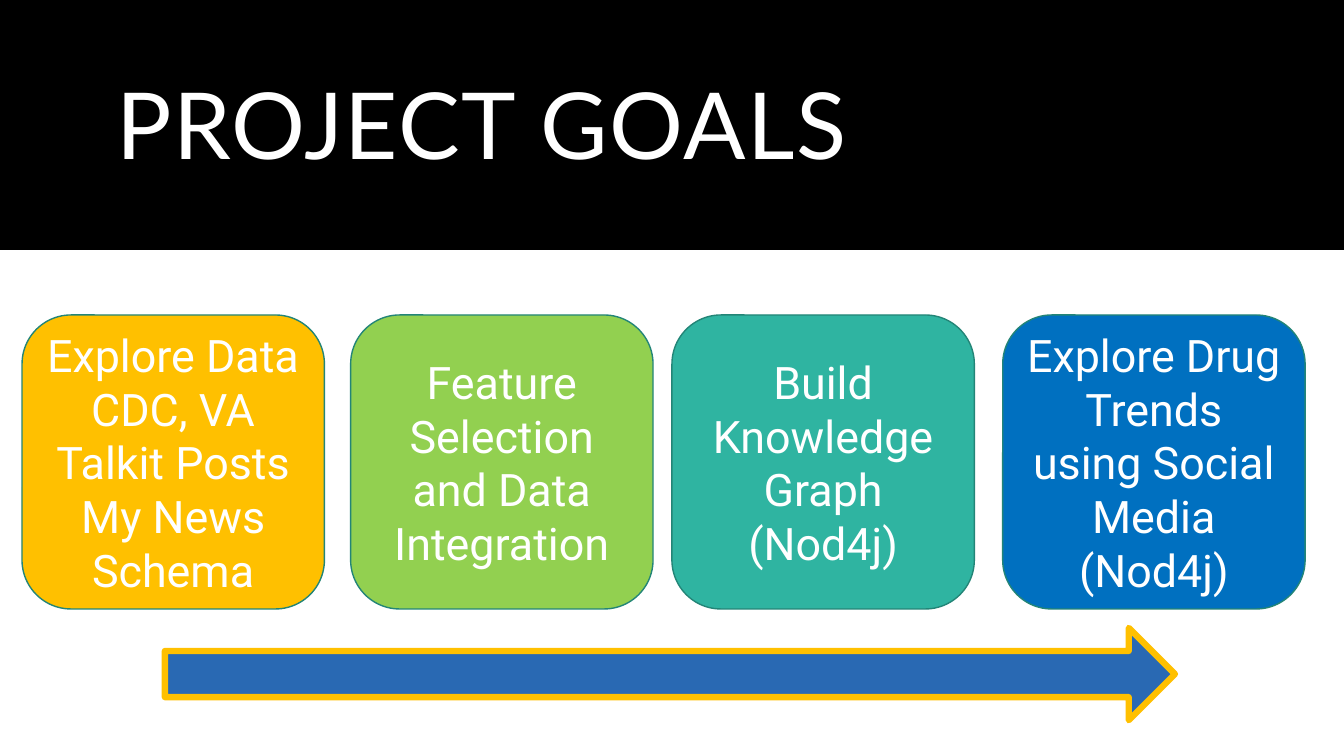
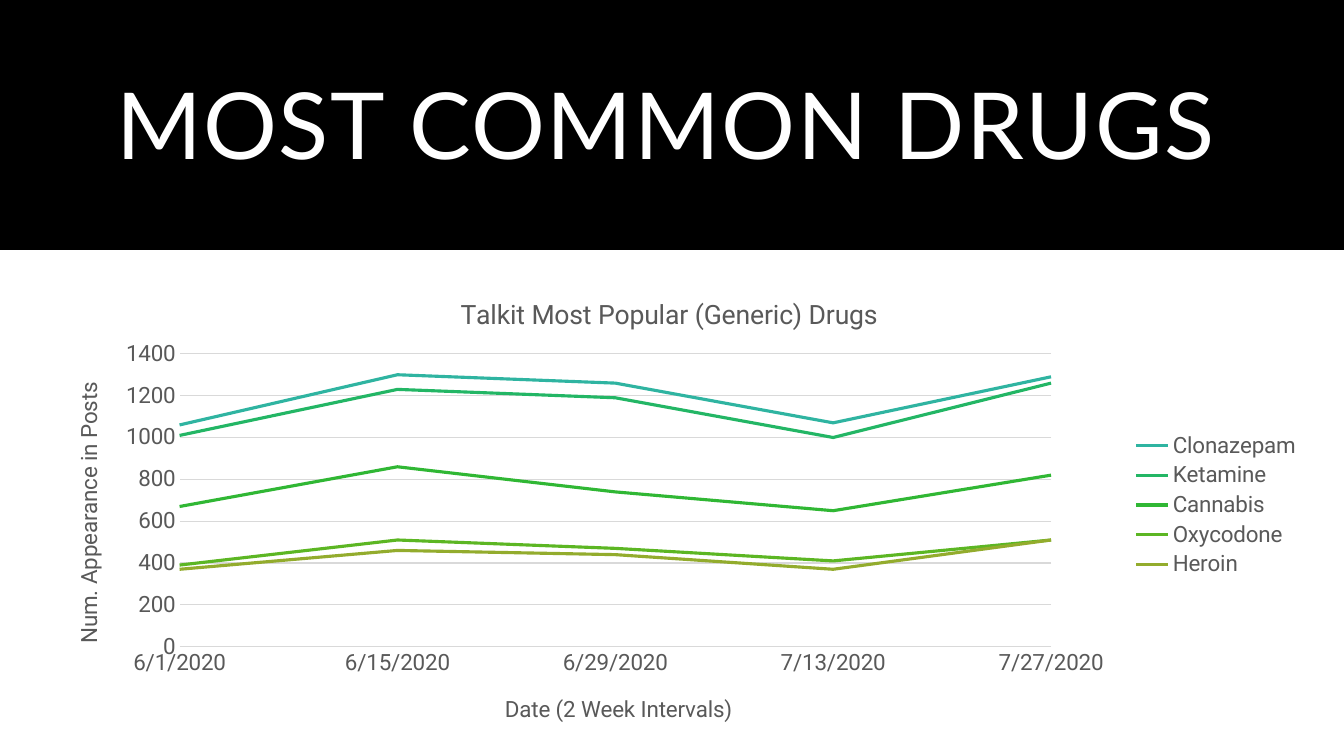
from dataclasses import dataclass
from typing import Any, NamedTuple

import pptx
import pptx.chart.data
import pptx.dml.color
import pptx.enum.chart
import pptx.enum.shapes
import pptx.enum.text
import pptx.oxml
import pptx.oxml.ns
import pptx.util
from pptx.oxml.ns import qn

EMU_PER_PX = 9525
TITLE_ONLY = 5


@dataclass(frozen=True)
class Theme:
    heading_font: str = "Lato"
    body_font: str = "Roboto"
    title_size: int = 66
    goal_size: int = 32
    chart_title_size: int = 19
    chart_size: int = 16
    title_spacing: int = 120
    black: str = "000000"
    white: str = "FFFFFF"
    amber: str = "FFC000"
    lime: str = "92D050"
    teal: str = "2FB4A1"
    teal_edge: str = "238577"
    blue: str = "0070C0"
    arrow_blue: str = "2969B3"
    grey_text: str = "595959"
    grey_line: str = "D9D9D9"


THEME = Theme()


class Rect(NamedTuple):
    left: int
    top: int
    width: int
    height: int

    def emu(self) -> list[int]:
        return [pptx.util.Emu(length * EMU_PER_PX) for length in self]


class Goal(NamedTuple):
    left: int
    fill: str
    lines: list[str]


class Drug(NamedTuple):
    name: str
    color: str
    posts: list[int]


BAND = Rect(0, 0, 1280, 238)
TITLE = Rect(101, 34, 1078, 179)
ARROW = Rect(157, 598, 962, 88)
CHART = Rect(42, 257, 1207, 448)
PLOT = Rect(171, 337, 830, 279)
GOAL_TOP, GOAL_WIDTH, GOAL_HEIGHT = 300, 288, 280

GOALS = [
    Goal(21, THEME.amber,
         ["Explore Data", "CDC, VA", "Talkit Posts", "My News", "Schema"]),
    Goal(334, THEME.lime, ["Feature Selection and Data Integration"]),
    Goal(640, THEME.teal, ["Build Knowledge Graph", "(Nod4j)"]),
    Goal(955, THEME.blue, ["Explore Drug Trends using Social Media (Nod4j)"]),
]

DATES = ["6/1/2020", "6/15/2020", "6/29/2020", "7/13/2020", "7/27/2020"]
DRUGS = [
    Drug("Clonazepam", THEME.teal, [1060, 1300, 1260, 1070, 1290]),
    Drug("Ketamine", "23B665", [1010, 1230, 1190, 1000, 1260]),
    Drug("Cannabis", "30B734", [670, 860, 740, 650, 820]),
    Drug("Oxycodone", "5CB623", [390, 510, 470, 410, 510]),
    Drug("Heroin", "93AC2D", [370, 460, 440, 370, 510]),
]


def rgb(color: str) -> pptx.dml.color.RGBColor:
    return pptx.dml.color.RGBColor.from_string(color)


def set_font(font: Any, name: str, size: int, color: str) -> None:
    font.name = name
    font.size = pptx.util.Pt(size)
    font.bold = False
    font.color.rgb = rgb(color)


def set_line(line: Any, color: str, width: float) -> None:
    line.color.rgb = rgb(color)
    line.width = pptx.util.Pt(width)


def add_filled_shape(page: Any, kind: Any, rect: Rect, fill: str) -> Any:
    shape = page.shapes.add_shape(kind, *rect.emu())
    shape.shadow.inherit = False
    shape.fill.solid()
    shape.fill.fore_color.rgb = rgb(fill)
    return shape


def add_page(deck: Any, title_text: str) -> Any:
    """Add a slide with its title over the black band."""
    page = deck.slides.add_slide(deck.slide_layouts[TITLE_ONLY])
    band = add_filled_shape(page, pptx.enum.shapes.MSO_SHAPE.RECTANGLE,
                            BAND, THEME.black)
    band.line.fill.background()
    page.shapes.element.insert(2, band.element)

    title = page.shapes.title
    title.left, title.top, title.width, title.height = TITLE.emu()
    frame = title.text_frame
    frame.text = title_text
    frame.word_wrap = True
    frame.auto_size = pptx.enum.text.MSO_AUTO_SIZE.NONE
    frame.vertical_anchor = pptx.enum.text.MSO_ANCHOR.MIDDLE
    para = frame.paragraphs[0]
    para.alignment = pptx.enum.text.PP_ALIGN.LEFT
    para.line_spacing = 0.9
    set_font(para.font, THEME.heading_font, THEME.title_size, THEME.white)
    for properties in title.element.iter(qn("a:defRPr")):
        properties.set("spc", str(THEME.title_spacing))
    return page


def add_goal(page: Any, goal: Goal) -> None:
    rect = Rect(goal.left, GOAL_TOP, GOAL_WIDTH, GOAL_HEIGHT)
    box = add_filled_shape(page, pptx.enum.shapes.MSO_SHAPE.ROUNDED_RECTANGLE,
                           rect, goal.fill)
    set_line(box.line, THEME.teal_edge, 1)
    frame = box.text_frame
    frame.word_wrap = True
    frame.vertical_anchor = pptx.enum.text.MSO_ANCHOR.MIDDLE
    frame.text = "\n".join(goal.lines)
    for para in frame.paragraphs:
        para.alignment = pptx.enum.text.PP_ALIGN.CENTER
        set_font(para.font, THEME.body_font, THEME.goal_size, THEME.white)


def place_in_chart(element: Any, left: int, top: int,
                   width: int = 0, height: int = 0) -> None:
    """Fix a chart part at a slide position; a size marks the inner plot."""
    for old_layout in element.findall(qn("c:layout")):
        element.remove(old_layout)
    settings = {"xMode": "edge", "yMode": "edge",
                "x": round((left - CHART.left) / CHART.width, 4),
                "y": round((top - CHART.top) / CHART.height, 4)}
    if width:
        settings = {"layoutTarget": "inner", **settings,
                    "w": round(width / CHART.width, 4),
                    "h": round(height / CHART.height, 4)}
    parts = "".join(f'<c:{tag} val="{value}"/>' for tag, value in settings.items())
    layout = pptx.oxml.parse_xml(
        f'<c:layout {pptx.oxml.ns.nsdecls("c")}>'
        f"<c:manualLayout>{parts}</c:manualLayout></c:layout>")
    element.insert(0 if element.find(qn("c:tx")) is None else 1, layout)


def set_chart_title(title: Any, text: str, size: int, left: int, top: int) -> None:
    title.text_frame.text = text
    set_font(title.text_frame.paragraphs[0].font, THEME.body_font, size,
             THEME.grey_text)
    place_in_chart(title.element if hasattr(title, "element") else title._element,
                   left, top)


def style_axis(axis: Any) -> None:
    axis.major_tick_mark = pptx.enum.chart.XL_TICK_MARK.NONE
    axis.minor_tick_mark = pptx.enum.chart.XL_TICK_MARK.NONE
    set_font(axis.tick_labels.font, THEME.body_font, THEME.chart_size,
             THEME.grey_text)


def start_lines_on_axis(value_axis: Any) -> None:
    axis_element = value_axis._element
    for old_setting in axis_element.findall(qn("c:crossBetween")):
        axis_element.remove(old_setting)
    axis_element.find(qn("c:crosses")).addnext(pptx.oxml.parse_xml(
        f'<c:crossBetween {pptx.oxml.ns.nsdecls("c")} val="midCat"/>'))


def add_drug_chart(page: Any) -> None:
    data = pptx.chart.data.CategoryChartData(number_format="General")
    data.categories = DATES
    for drug in DRUGS:
        data.add_series(drug.name, drug.posts)
    chart = page.shapes.add_chart(pptx.enum.chart.XL_CHART_TYPE.LINE,
                                  *CHART.emu(), data).chart
    set_font(chart.font, THEME.body_font, THEME.chart_size, THEME.grey_text)
    chart.plots[0].vary_by_categories = False
    for series, drug in zip(chart.plots[0].series, DRUGS):
        series.smooth = False
        set_line(series.format.line, drug.color, 2.25)

    chart.has_legend = True
    chart.legend.position = pptx.enum.chart.XL_LEGEND_POSITION.RIGHT
    chart.legend.include_in_layout = False
    set_font(chart.legend.font, THEME.body_font, THEME.chart_size, THEME.grey_text)

    dates, counts = chart.category_axis, chart.value_axis
    style_axis(dates)
    set_line(dates.format.line, THEME.grey_line, 0.75)
    style_axis(counts)
    counts.format.line.fill.background()
    counts.minimum_scale, counts.maximum_scale, counts.major_unit = 0, 1400, 200
    counts.has_major_gridlines = True
    set_line(counts.major_gridlines.format.line, THEME.grey_line, 0.75)
    start_lines_on_axis(counts)

    chart.has_title = True
    set_chart_title(chart.chart_title, "Talkit Most Popular (Generic) Drugs",
                    THEME.chart_title_size, 434, 278)
    set_chart_title(dates.axis_title, "Date (2 Week Intervals)",
                    THEME.chart_size, 477, 658)
    set_chart_title(counts.axis_title, "Num. Appearance in Posts",
                    THEME.chart_size, 67, 360)
    for body in counts.axis_title._element.iter(qn("a:bodyPr")):
        body.set("rot", "-5400000")
        body.set("vert", "horz")
    place_in_chart(chart.element.find(f".//{qn('c:plotArea')}")
                   if hasattr(chart, "element")
                   else chart._chartSpace.find(f".//{qn('c:plotArea')}"), *PLOT)


def main() -> None:
    deck = pptx.Presentation()
    deck.slide_width = pptx.util.Emu(1280 * EMU_PER_PX)
    deck.slide_height = pptx.util.Emu(720 * EMU_PER_PX)

    goals_page = add_page(deck, "PROJECT GOALS")
    for goal in GOALS:
        add_goal(goals_page, goal)
    arrow = add_filled_shape(goals_page, pptx.enum.shapes.MSO_SHAPE.RIGHT_ARROW,
                             ARROW, THEME.arrow_blue)
    set_line(arrow.line, THEME.amber, 4.5)

    add_drug_chart(add_page(deck, "MOST COMMON DRUGS"))
    deck.save("out.pptx")


if __name__ == "__main__":
    main()
